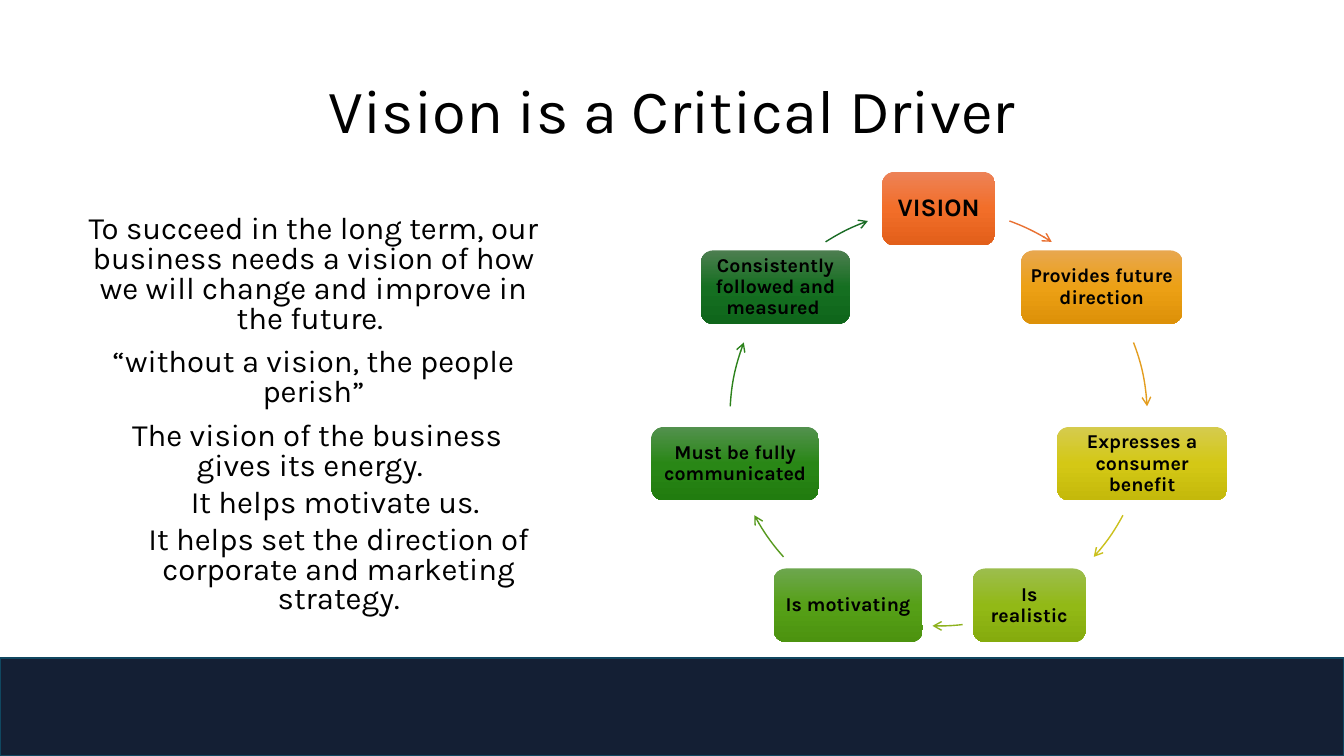
from copy import deepcopy
from dataclasses import dataclass
from math import cos, radians, sin

from lxml.etree import SubElement
from pptx import Presentation
from pptx.dml.color import RGBColor
from pptx.enum.shapes import MSO_SHAPE
from pptx.enum.text import MSO_ANCHOR, MSO_AUTO_SIZE, PP_ALIGN
from pptx.oxml.ns import qn
from pptx.util import Inches, Pt

TITLE = "Vision is a Critical Driver"

# text, indent level
MESSAGES = [
    ("To succeed in the long term, our business needs a vision of how we will "
     "change and improve in the future. ", 0),
    ("“without a vision, the people perish”", 0),
    (" The vision of the business gives its energy. ", 0),
    ("It helps motivate us. ", 1),
    ("It helps set the direction of corporate and marketing strategy.", 1),
]

# text, box width, gradient colours, arrow colour, arrow start and end angles
CYCLE = [
    ("VISION", 1.12, ("ED8257", "F26E29", "E25F1A"), "E97132", (19.8, 32.8)),
    ("Provides future direction", 1.6, ("E8A74F", "ECA015", "DD9108"), "E39D1F", (69, 87)),
    ("Expresses a consumer benefit", 1.69, ("D5CB4E", "D4C815", "C4B90B"), "CBC11E", (118, 132)),
    ("Is realistic", 1.12, ("9CBD4E", "92B916", "85AB0D"), "8EB21E", (173.4, 181.7)),
    ("Is motivating", 1.48, ("6DA64E", "56A017", "4C930F"), "56991D", (228, 242)),
    ("Must be fully communicated", 1.66, ("53914E", "298716", "217C0F"), "2C821B", (273, 291)),
    ("Consistently followed and measured ", 1.48, ("4D7E50", "156F21", "0F661B"), "196B24",
     (327.2, 340.2)),
]

CENTER_X, CENTER_Y, RADIUS = 9.31, 4.14, 2.07
BOX_HEIGHT = 0.73
ANGLE_UNITS = 60000


@dataclass(frozen=True)
class Theme:
    font: str = "Karla"
    text: str = "000000"
    band: str = "141F34"
    band_line: str = "104760"
    title_size: float = 44
    body_size: float = 22.2
    lead_size: float = 18
    box_size: float = 14


THEME = Theme()


def rgb(value):
    return RGBColor.from_string(value)


def place(shape, left, top, width, height):
    shape.left, shape.top = Inches(left), Inches(top)
    shape.width, shape.height = Inches(width), Inches(height)


def write(paragraph, text, *, size, bold=False, line_spacing=0.9, before=0, level=0):
    """Fill a centred paragraph that has no bullet."""
    paragraph.alignment = PP_ALIGN.CENTER
    paragraph.level = level
    paragraph.line_spacing = line_spacing
    paragraph.space_before = Pt(before)
    paragraph.space_after = Pt(0)
    properties = paragraph._p.get_or_add_pPr()
    properties.set("marL", str(Inches(0.5 * level)))
    properties.set("indent", "0")
    SubElement(properties, qn("a:buNone"))
    run = paragraph.add_run()
    run.text = text
    run.font.name = THEME.font
    run.font.size = Pt(size)
    run.font.bold = bold
    run.font.color.rgb = rgb(THEME.text)


def prepare_frame(shape, anchor, inset_x=0.1, inset_y=0.05):
    frame = shape.text_frame
    frame.word_wrap = True
    frame.auto_size = MSO_AUTO_SIZE.NONE
    frame.vertical_anchor = anchor
    frame.margin_left = frame.margin_right = Inches(inset_x)
    frame.margin_top = frame.margin_bottom = Inches(inset_y)
    return frame


def fill_gradient(shape, colors):
    """Fill from top to bottom with three evenly spaced colours."""
    shape.fill.gradient()
    shape.fill.gradient_angle = 270
    stop_list = shape._element.spPr.find(".//" + qn("a:gsLst"))
    stop_list.append(deepcopy(stop_list[0]))
    for stop, color, position in zip(shape.fill.gradient_stops, colors, (0, 0.5, 1)):
        stop.color.rgb = rgb(color)
        stop.position = position


def point_on_circle(angle, center_x=CENTER_X, center_y=CENTER_Y):
    """Return inches for an angle in degrees, clockwise from the top."""
    turn = radians(angle)
    return center_x + RADIUS * sin(turn), center_y - RADIUS * cos(turn)


def add_box(slide, text, width, colors, angle, size):
    x, y = point_on_circle(angle)
    box = slide.shapes.add_shape(
        MSO_SHAPE.ROUNDED_RECTANGLE, Inches(x - width / 2), Inches(y - BOX_HEIGHT / 2),
        Inches(width), Inches(BOX_HEIGHT))
    box.shadow.inherit = False
    box.line.fill.background()
    fill_gradient(box, colors)
    frame = prepare_frame(box, MSO_ANCHOR.MIDDLE, 0.05, 0.05)
    write(frame.paragraphs[0], text, size=size, bold=True)


def add_arc_arrow(slide, start, end, color):
    """Draw part of the circle in a shape that spans the whole circle."""
    left, right = Inches(CENTER_X - RADIUS), Inches(CENTER_X + RADIUS)
    top, bottom = Inches(CENTER_Y - RADIUS), Inches(CENTER_Y + RADIUS)
    builder = slide.shapes.build_freeform(left, top)
    builder.add_line_segments([(right, top), (right, bottom), (left, bottom)])
    arrow = builder.convert_to_shape()
    outline = arrow._element.spPr.find(".//" + qn("a:path"))
    for segment in list(outline):
        outline.remove(segment)
    x, y = point_on_circle(start, RADIUS, RADIUS)
    move = SubElement(outline, qn("a:moveTo"))
    SubElement(move, qn("a:pt"), x=str(Inches(x)), y=str(Inches(y)))
    radius = str(Inches(RADIUS))
    SubElement(outline, qn("a:arcTo"), wR=radius, hR=radius,
               stAng=str(round((start - 90) % 360 * ANGLE_UNITS)),
               swAng=str(round((end - start) * ANGLE_UNITS)))
    arrow.shadow.inherit = False
    arrow.fill.background()
    arrow.line.color.rgb = rgb(color)
    arrow.line.width = Pt(1)
    SubElement(arrow.line._get_or_add_ln(), qn("a:tailEnd"), type="arrow")


def add_title(slide):
    title = slide.shapes.title
    place(title, 0.92, 0.4, 11.5, 1.45)
    frame = prepare_frame(title, MSO_ANCHOR.MIDDLE)
    write(frame.paragraphs[0], TITLE, size=THEME.title_size)


def add_band(slide):
    band = slide.shapes.add_shape(
        MSO_SHAPE.RECTANGLE, 0, Inches(6.53), Inches(13.33), Inches(0.97))
    band.shadow.inherit = False
    band.fill.solid()
    band.fill.fore_color.rgb = rgb(THEME.band)
    band.line.color.rgb = rgb(THEME.band_line)
    band.line.width = Pt(1.5)


def add_messages(slide):
    body = slide.placeholders[1]
    place(body, 0.75, 2.09, 4.72, 4.28)
    frame = prepare_frame(body, MSO_ANCHOR.TOP)
    for index, (text, level) in enumerate(MESSAGES):
        paragraph = frame.add_paragraph() if index else frame.paragraphs[0]
        write(paragraph, text, size=THEME.body_size, line_spacing=0.8,
              before=5 if level else 10, level=level)


def add_cycle(slide):
    for index, (text, width, colors, arrow_color, (start, end)) in enumerate(CYCLE):
        size = THEME.box_size if index else THEME.lead_size
        add_box(slide, text, width, colors, index * 360 / len(CYCLE), size)
        add_arc_arrow(slide, start, end, arrow_color)


def main():
    presentation = Presentation()
    presentation.slide_width, presentation.slide_height = Inches(13.33), Inches(7.5)
    slide = presentation.slides.add_slide(presentation.slide_layouts[1])
    add_title(slide)
    add_band(slide)
    add_cycle(slide)
    add_messages(slide)
    presentation.save("out.pptx")


if __name__ == "__main__":
    main()
